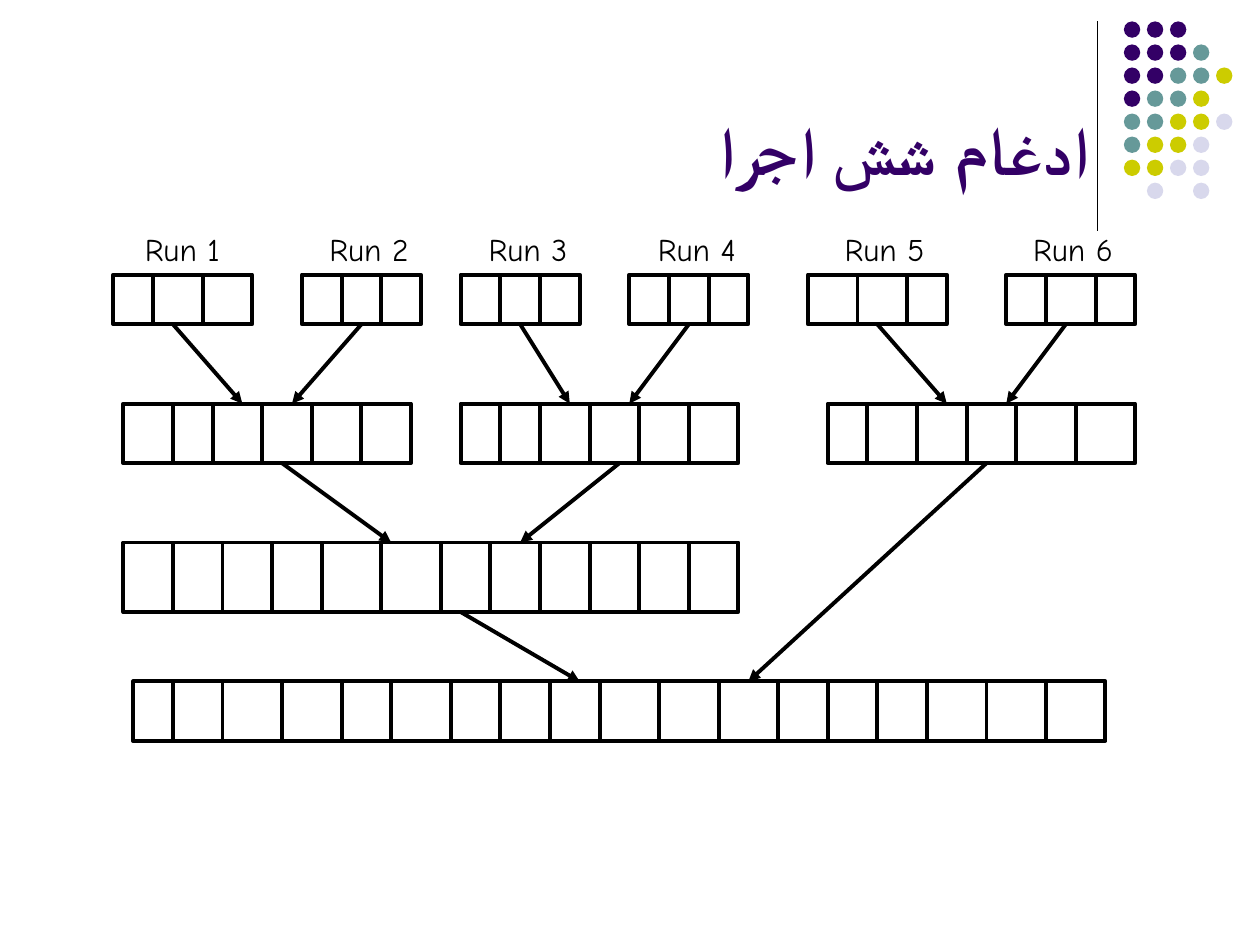
"""Build a slide that shows six sorted runs merged step by step."""
from lxml import etree
from pptx import Presentation, util as u
from pptx.dml.color import RGBColor
from pptx.enum import shapes, text
from pptx.oxml.ns import qn

BLACK = RGBColor(0x00, 0x00, 0x00)
WHITE = RGBColor(0xFF, 0xFF, 0xFF)
PURPLE = RGBColor(0x33, 0x00, 0x66)
TEAL = RGBColor(0x66, 0x99, 0x99)
LIME = RGBColor(0xCC, 0xCC, 0x00)
LILAC = RGBColor(0xD8, 0xD8, 0xEC)

TITLE = "ادغام شش اجرا"
DOTS = ["PPP", "PPPT", "PPTTL", "PTTL", "TTLLI", "TLLI", "LLII", ".I.I"]
HUES = {"P": PURPLE, "T": TEAL, "L": LIME, "I": LILAC}
DOT, STEP = 0.13, 1.28 / 7

UNIT, LEFT, TOP = 1 / 12.7, 0.9, 2.18
ROWS = [(0, 5), (13, 6), (27, 7), (41, 6)]
BARS = {
    "run1": (0, 0, [4, 5, 5]),
    "run2": (0, 19, [4, 4, 4]),
    "run3": (0, 35, [4, 4, 4]),
    "run4": (0, 52, [4, 4, 4]),
    "run5": (0, 70, [5, 5, 4]),
    "run6": (0, 90, [4, 5, 4]),
    "pair12": (1, 1, [5, 4, 5, 5, 5, 5]),
    "pair34": (1, 35, [4, 4, 5, 5, 5, 5]),
    "pair56": (1, 72, [4, 5, 5, 5, 6, 6]),
    "four": (2, 1, [5, 5, 5, 5, 6, 6, 5, 5, 5, 5, 5, 5]),
    "all": (3, 2, [4, 5, 6, 6, 5, 6, 5, 5, 5, 6, 6, 6, 5, 5, 5, 6, 6, 6]),
}
MERGES = [
    ("run2", 25, "pair12", 18), ("run1", 6, "pair12", 13),
    ("run4", 58, "pair34", 52), ("run3", 41, "pair34", 46),
    ("run6", 96, "pair56", 90), ("run5", 77, "pair56", 84),
    ("pair34", 51, "four", 41), ("pair12", 17, "four", 28),
    ("pair56", 88, "all", 64), ("four", 35, "all", 47),
]
LABELS = [("Run 1", 1, 11), ("Run 2", 20, 11), ("Run 3", 35, 12),
          ("Run 4", 52, 12), ("Run 5", 71, 12), ("Run 6", 89, 13)]


def col(n):
    return LEFT + n * UNIT


def row(n):
    return TOP + n * UNIT


def line(slide, x1, y1, x2, y2, width=2.25, head=False):
    ends = [u.Inches(v) for v in (x1, y1, x2, y2)]
    link = slide.shapes.add_connector(shapes.MSO_CONNECTOR.STRAIGHT, *ends)
    link.line.color.rgb = BLACK
    link.line.width = u.Pt(width)
    if head:
        etree.SubElement(link.line._get_or_add_ln(), qn("a:tailEnd"), type="triangle")
    etree.SubElement(link._element.spPr, qn("a:effectLst"))
    return link


def shape(parent, kind, x, y, w, h, fill):
    item = parent.shapes.add_shape(kind, *[u.Inches(v) for v in (x, y, w, h)])
    item.shadow.inherit = False
    item.fill.solid()
    item.fill.fore_color.rgb = fill
    return item


def write(slide, words, x, y, w, h, face, size, color, bold=False):
    box = slide.shapes.add_textbox(*[u.Inches(v) for v in (x, y, w, h)])
    frame = box.text_frame
    frame.word_wrap = True
    frame.text = words
    para = frame.paragraphs[0]
    para.alignment = text.PP_ALIGN.RIGHT
    font = para.runs[0].font
    font.name, font.size, font.bold = face, u.Pt(size), bold
    font.color.rgb = color
    return frame


def dots(slide):
    group = slide.shapes.add_group_shape()
    for r, marks in enumerate(DOTS):
        for c, mark in enumerate(marks):
            if mark in HUES:
                dot = shape(group, shapes.MSO_SHAPE.OVAL, 8.92 + c * STEP,
                            0.17 + r * STEP, DOT, DOT, HUES[mark])
                dot.line.fill.background()


def bars(slide):
    made = {}
    for name, (level, start, cells) in BARS.items():
        y, h = ROWS[level]
        bar = shape(slide, shapes.MSO_SHAPE.RECTANGLE, col(start), row(y),
                    sum(cells) * UNIT, h * UNIT, WHITE)
        bar.line.color.rgb = BLACK
        bar.line.width = u.Pt(2.25)
        made[name] = bar
    for level, start, cells in BARS.values():
        y, h = ROWS[level]
        for i in range(1, len(cells)):
            x = col(start + sum(cells[:i]))
            line(slide, x, row(y), x, row(y + h))
    return made


def arrows(slide, made):
    for src, x1, dest, x2 in MERGES:
        level, start, cells = BARS[src]
        link = line(slide, col(x1), row(sum(ROWS[level])),
                    col(x2), row(ROWS[BARS[dest][0]][0]), head=True)
        if 2 * x1 == 2 * start + sum(cells):
            link.begin_connect(made[src], 2)


def main():
    deck = Presentation()
    deck.slide_width, deck.slide_height = u.Inches(10), u.Inches(7.5)
    slide = deck.slides.add_slide(deck.slide_layouts[6])
    line(slide, 8.71, 0.17, 8.71, 1.83, 0.75)
    dots(slide)
    title = write(slide, TITLE, 0.5, 0.13, 8.25, 1.42, "Arial", 39, PURPLE, True)
    title.vertical_anchor = text.MSO_ANCHOR.BOTTOM
    arrows(slide, bars(slide))
    for words, x, w in LABELS:
        label = write(slide, words, col(x), 1.78, w * UNIT, 0.4,
                      "Comic Neue", 18, BLACK)
        label.paragraphs[0]._p.get_or_add_pPr().set("rtl", "1")
    deck.save("out.pptx")


if __name__ == "__main__":
    main()
